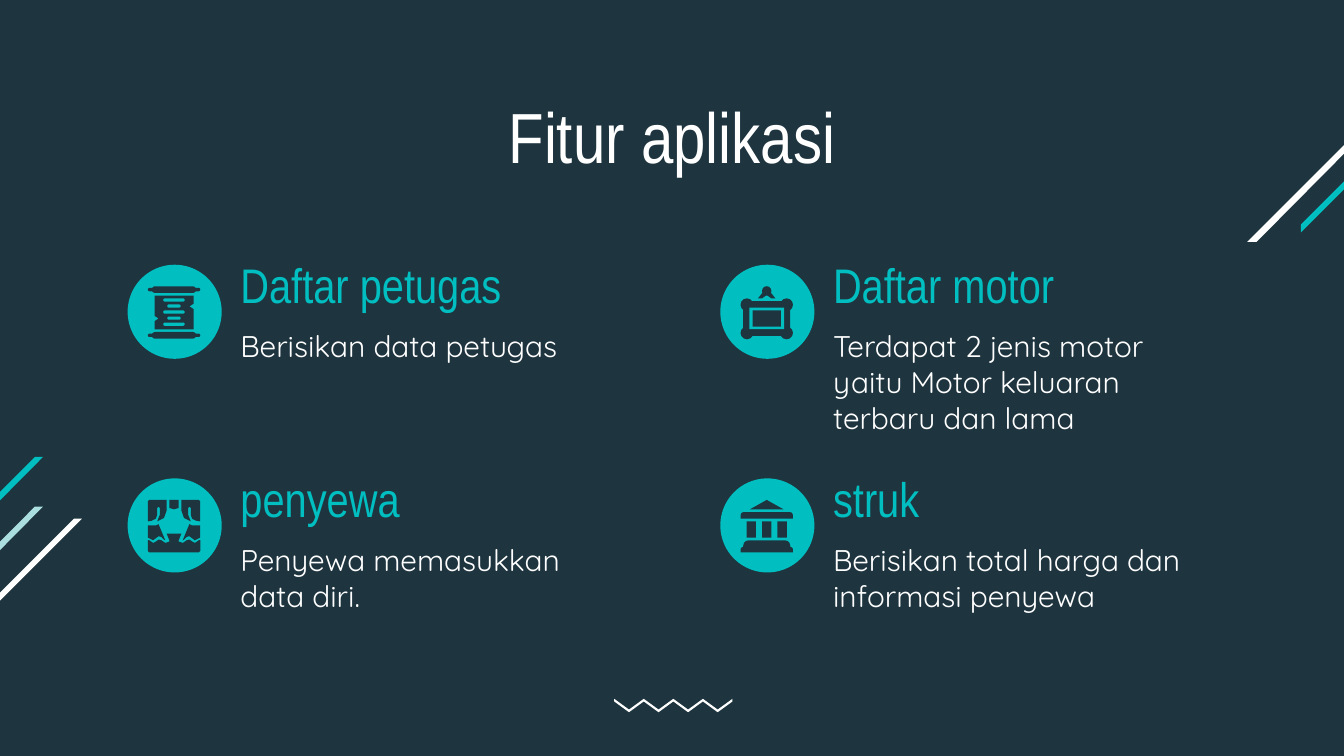
from pptx import Presentation
from pptx.dml.color import RGBColor
from pptx.enum import shapes as sh, text as tx
from pptx.util import Inches, Pt

HUES = {"dark": "1E343F", "teal": "01BEC0", "pale": "ABDFDF", "white": "FFFFFF"}
KIND = sh.MSO_SHAPE
UNIT = 0.01  # icon grid step, in inches
SIDE = 39    # icon width on that grid


def tint(name):
    return RGBColor.from_string(HUES[name])


def paint(shape, hue):
    shape.shadow.inherit = False
    shape.fill.solid()
    shape.fill.fore_color.rgb = tint(hue)
    shape.line.fill.background()


def block(slide, kind, x, y, w, h, hue):
    shape = slide.shapes.add_shape(kind, Inches(x), Inches(y), Inches(w), Inches(h))
    paint(shape, hue)
    return shape


def poly(slide, pts, hue):
    pts = [(Inches(x), Inches(y)) for x, y in pts]
    path = slide.shapes.build_freeform(*pts[0], scale=1.0)
    path.add_line_segments(pts[1:], close=True)
    paint(path.convert_to_shape(), hue)


def write(slide, words, x, y, w, h, size=16, font="Quicksand", hue="white", align="LEFT"):
    frame = slide.shapes.add_textbox(Inches(x), Inches(y), Inches(w), Inches(h)).text_frame
    frame.word_wrap = True
    frame.margin_left = frame.margin_right = Inches(0.1)
    frame.margin_top = frame.margin_bottom = Inches(0.1)
    para = frame.paragraphs[0]
    para.alignment = getattr(tx.PP_ALIGN, align)
    run = para.add_run()
    run.text = words
    run.font.size = Pt(size)
    run.font.name = font
    run.font.color.rgb = tint(hue)


def stripe(slide, x, y, run, hue, cut=False):
    """Diagonal band; cut gives it an upright lower end."""
    low, end = x - run, y + run
    tip = (low, end + 0.06) if cut else (low + 0.07, end)
    poly(slide, [(x, y), (low, end), tip, (x + 0.06, y)], hue)


def wave(slide):
    def edge(step, top):
        return [(5.01 + step * i, top + 0.08 * (i % 2)) for i in range(-4, 5)]
    poly(slide, edge(0.11, 5.2) + edge(0.11, 5.22)[::-1], "white")


class Icon:
    """Draws on a small grid whose origin is the icon corner."""

    def __init__(self, slide, x, y):
        self.slide, self.x, self.y = slide, x, y

    def box(self, x, y, w, h, kind=KIND.RECTANGLE, hue="dark"):
        return block(self.slide, kind, self.x + x * UNIT, self.y + y * UNIT,
                     w * UNIT, h * UNIT, hue)

    def pill(self, *box, hue="dark"):
        self.box(*box, kind=KIND.ROUNDED_RECTANGLE, hue=hue).adjustments[0] = 0.5

    def cap(self, *box):
        self.box(*box, kind=KIND.ROUND_2_SAME_RECTANGLE).adjustments[0] = 0.5

    def poly(self, pts):
        poly(self.slide, [(self.x + x * UNIT, self.y + y * UNIT) for x, y in pts], "dark")


def flip(pts):
    return [(SIDE - x, y) for x, y in pts][::-1]


def scroll(icon):
    for y in (0, 34):
        icon.pill(3, y, 33, 5)
        icon.pill(0, y + 1.25, SIDE, 2.5)
    icon.poly([(5, 7), (5, 22), (8, 24), (5, 26), (5, 32),
               (34, 32), (34, 17), (31, 15), (34, 13), (34, 7)])
    for i in range(5):
        w = 10 if i % 2 else 16
        icon.pill((SIDE - w) / 2, 9 + 4.5 * i, w, 2.4, hue="teal")


def frame(icon):
    for x in (0, 29.5):
        for y in (9, 30):
            icon.box(x, y, 9.5, 9.5, kind=KIND.OVAL)
    icon.box(2, 11, 35, 26)
    icon.box(6.5, 16, 26, 16, hue="teal")
    icon.box(9, 18, 21, 12)
    # Hook
    icon.poly([(13, 9), (17, 4), (22, 4), (26, 9), (23, 9), (19.5, 6.5), (16, 9)])
    icon.box(16, 0, 7, 7, kind=KIND.OVAL)


def stage(icon):
    drape = [(1, 0), (0, 1), (0, 16), (3, 15.5), (6, 14), (7, 11), (7, 6), (8, 5),
             (9, 6), (9, 11), (7, 16), (12, 13.5), (14, 8), (14, 0)]
    rock = [(8, 18), (6, 19), (0, 19), (0, 28), (2, 29), (4, 30), (6, 28.5),
            (8, 27), (10, 27.5), (12, 29.5), (13, 30)]
    floor = [(14, 25), (16, 30), (16, 31), (13, 32), (10, 30), (8, 29.5),
             (6, 31), (4, 32), (1, 30), (0, 30), (0, 38), (1, 39)]
    for side in (drape, rock):
        icon.poly(side)
        icon.poly(flip(side))
    icon.poly(floor + flip(floor))
    icon.poly([(16, 0), (16, 6), (19.5, 7), (23, 6), (23, 0)])


def temple(icon):
    icon.poly([(7, 7), (19.5, 0), (32, 7)])
    icon.cap(0, 9, SIDE, 5)
    for i in range(3):
        icon.box(4.5 + 11.5 * i, 16, 7, 12)
    icon.cap(2, 30, 35, 8)
    icon.cap(0, 35, SIDE, 4)


def card(slide, x, y, name, body, draw):
    block(slide, KIND.OVAL, x, y + 0.17, 0.7, 0.7, "teal")
    draw(Icon(slide, x + 0.15, y + 0.33))
    write(slide, body, x + 0.74, y + 0.54, 2.98, 0.8)
    write(slide, name, x + 0.74, y, 2.98, 0.67, size=26, font="Arial Narrow", hue="teal")


def main():
    deck = Presentation()
    deck.slide_width = Inches(10)
    deck.slide_height = deck.slide_width * 9 // 16
    slide = deck.slides.add_slide(deck.slide_layouts[6])
    slide.background.fill.solid()
    slide.background.fill.fore_color.rgb = tint("dark")

    # Corner stripes
    stripe(slide, 0.26, 3.77, 0.9, "pale")
    stripe(slide, 0.26, 3.4, 1.08, "teal")
    stripe(slide, 0.55, 3.86, 0.6, "white", cut=True)
    stripe(slide, 10.36, 0.72, 1.08, "white")
    stripe(slide, 10.28, 1.07, 0.6, "teal", cut=True)

    # Heading
    write(slide, "Fitur aplikasi", 0.78, 0.59, 8.44, 0.76,
          size=38, font="Arial Narrow", align="CENTER")

    # Feature cards, row by row
    cards = [
        ("Daftar petugas", "Berisikan data petugas", scroll),
        ("Daftar motor", "Terdapat 2 jenis motor yaitu Motor keluaran terbaru dan lama", frame),
        ("penyewa", "Penyewa memasukkan data diri.", stage),
        ("struk", "Berisikan total harga dan informasi penyewa", temple),
    ]
    for i, item in enumerate(cards):
        card(slide, 0.95 + 4.41 * (i % 2), 1.8 + 1.59 * (i // 2), *item)

    # Footer ornament
    wave(slide)
    deck.save("out.pptx")


if __name__ == "__main__":
    main()
